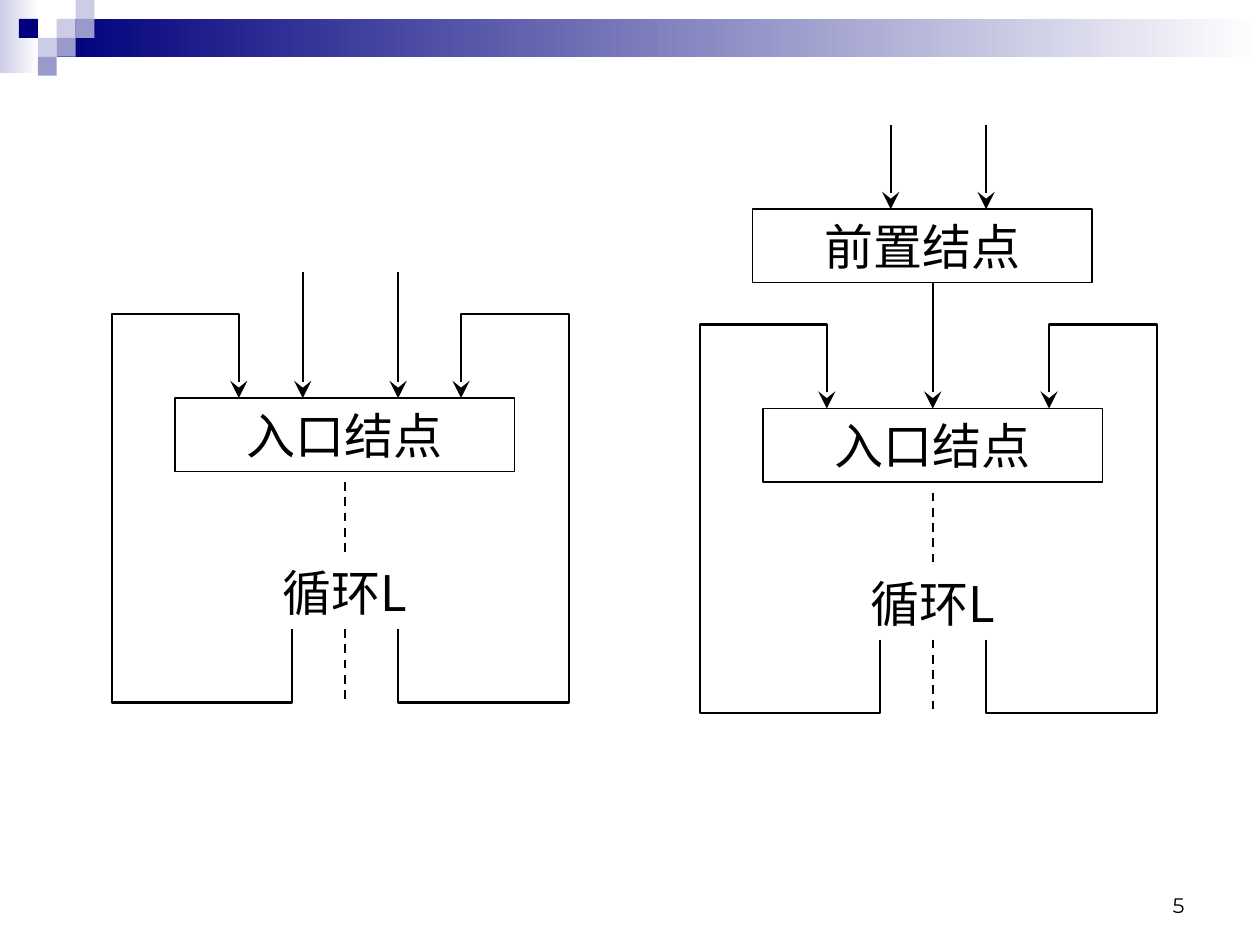
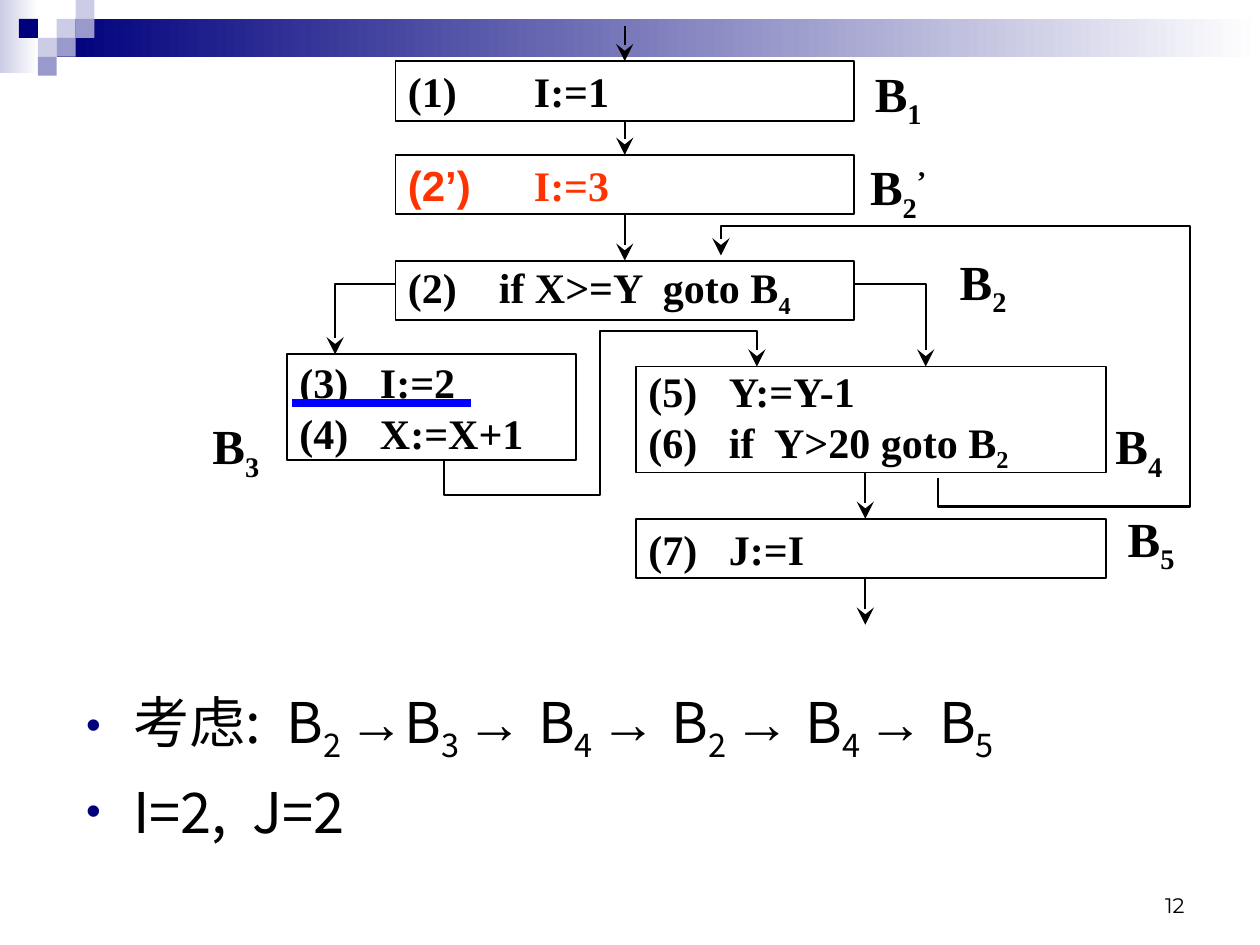
from dataclasses import dataclass
from typing import Optional, Sequence

from lxml.etree import SubElement
from pptx import Presentation
from pptx.dml.color import RGBColor
from pptx.enum.dml import MSO_LINE_DASH_STYLE as Dash
from pptx.enum.shapes import MSO_CONNECTOR as Connector, MSO_SHAPE as ShapeKind
from pptx.enum.text import MSO_ANCHOR as Anchor, MSO_AUTO_SIZE as AutoSize, PP_ALIGN as Align
from pptx.oxml.ns import qn
from pptx.util import Pt

Point = tuple[float, float]


@dataclass(frozen=True)
class Theme:
    navy: str = "00007D"
    lilac: str = "9999CC"
    mist: str = "CCCCE6"
    white: str = "FFFFFF"
    ink: str = "000000"
    changed: str = "FF3300"
    marker: str = "0000FF"
    cjk: str = "Noto Sans CJK SC"
    serif: str = "Times New Roman"
    sans: str = "Arial"
    number_font: str = "Montserrat"
    number_size: float = 12
    code_size: float = 24
    label_size: float = 28
    body_size: float = 32
    outline: float = 1
    arrow: float = 1.25
    underline: float = 4.5


THEME = Theme()


@dataclass(frozen=True)
class Run:
    text: str
    baseline: int = 0
    font: Optional[str] = None


@dataclass(frozen=True)
class Style:
    font: str
    size: float
    bold: bool = False
    color: str = THEME.ink
    align: Align = Align.LEFT
    anchor: Anchor = Anchor.MIDDLE
    wrap: bool = True
    side_inset: float = 7.2


NODE = Style(THEME.cjk, THEME.label_size, align=Align.CENTER, wrap=False)
CODE = Style(THEME.serif, THEME.code_size, bold=True)
CHANGED_CODE = Style(THEME.serif, THEME.code_size, bold=True, color=THEME.changed)
BLOCK_NAME = Style(THEME.serif, THEME.label_size, bold=True, align=Align.CENTER, wrap=False, side_inset=0)
BODY = Style(THEME.cjk, THEME.body_size)
NUMBER = Style(THEME.number_font, THEME.number_size, align=Align.RIGHT, anchor=Anchor.BOTTOM)


@dataclass(frozen=True)
class Box:
    left: float
    top: float
    width: float
    height: float

    def lengths(self) -> tuple:
        return Pt(self.left), Pt(self.top), Pt(self.width), Pt(self.height)


@dataclass(frozen=True)
class CodeBlock:
    box: Box
    tab: float
    lines: Sequence[Sequence[Run]]
    style: Style = CODE


@dataclass(frozen=True)
class BlockName:
    left: float
    top: float
    index: str
    prime: str = ""


def rgb(value: str) -> RGBColor:
    return RGBColor.from_string(value)


def write_paragraph(paragraph, runs: Sequence[Run], style: Style) -> None:
    paragraph.alignment = style.align
    font = paragraph.font
    font.name, font.size, font.bold = style.font, Pt(style.size), style.bold
    font.color.rgb = rgb(style.color)
    defaults = paragraph._p.pPr.find(qn("a:defRPr"))
    SubElement(defaults, qn("a:ea")).set("typeface", style.font)
    for item in runs:
        run = paragraph.add_run()
        run.text = item.text
        if item.font:
            run.font.name = item.font
            SubElement(run._r.get_or_add_rPr(), qn("a:ea")).set("typeface", item.font)
        if item.baseline:
            run._r.get_or_add_rPr().set("baseline", str(item.baseline * 1000))


def add_tab(paragraph, position: float) -> None:
    tabs = SubElement(paragraph._p.get_or_add_pPr(), qn("a:tabLst"))
    tab = SubElement(tabs, qn("a:tab"))
    tab.set("pos", str(Pt(position)))
    tab.set("algn", "l")


def add_bullet(paragraph, indent: float) -> None:
    properties = paragraph._p.get_or_add_pPr()
    properties.set("marL", str(Pt(indent)))
    properties.set("indent", str(-Pt(indent)))
    color = SubElement(properties, qn("a:buClr"))
    SubElement(color, qn("a:srgbClr")).set("val", THEME.navy)
    SubElement(properties, qn("a:buSzPct")).set("val", "75000")
    SubElement(properties, qn("a:buFont")).set("typeface", THEME.sans)
    SubElement(properties, qn("a:buChar")).set("char", "•")


def fill_frame(frame, lines: Sequence[Sequence[Run]], style: Style, tab: float = 0) -> None:
    frame.word_wrap = style.wrap
    frame.vertical_anchor = style.anchor
    frame.margin_left = frame.margin_right = Pt(style.side_inset)
    for index, runs in enumerate(lines):
        paragraph = frame.add_paragraph() if index else frame.paragraphs[0]
        if tab:
            add_tab(paragraph, tab)
        write_paragraph(paragraph, runs, style)


def add_text(slide, box: Box, runs: Sequence[Run], style: Style) -> None:
    fill_frame(slide.shapes.add_textbox(*box.lengths()).text_frame, [runs], style)


def add_framed_text(slide, box: Box, lines: Sequence[Sequence[Run]], style: Style, tab: float = 0) -> None:
    shape = slide.shapes.add_shape(ShapeKind.RECTANGLE, *box.lengths())
    shape.shadow.inherit = False
    shape.fill.background()
    shape.line.color.rgb = rgb(THEME.ink)
    shape.line.width = Pt(THEME.outline)
    fill_frame(shape.text_frame, lines, style, tab)


def add_route(slide, points: Sequence[Point], arrow: bool = True, dashed: bool = False,
              color: str = THEME.ink, width: float = THEME.arrow) -> None:
    corners = [(Pt(x), Pt(y)) for x, y in points]
    if len(corners) == 2:
        shape = slide.shapes.add_connector(Connector.STRAIGHT, *corners[0], *corners[1])
    else:
        builder = slide.shapes.build_freeform(*corners[0], scale=1.0)
        builder.add_line_segments(corners[1:], close=False)
        shape = builder.convert_to_shape()
        shape.fill.background()
    shape.line.color.rgb = rgb(color)
    shape.line.width = Pt(width)
    if dashed:
        shape.line.dash_style = Dash.DASH
    properties = shape.element.spPr
    if arrow:
        head = SubElement(properties.find(qn("a:ln")), qn("a:tailEnd"))
        for name, value in (("type", "stealth"), ("w", "lg"), ("len", "lg")):
            head.set(name, value)
    SubElement(properties, qn("a:effectLst"))


def add_master_band(presentation, slide) -> None:
    cell = 10.8
    bars = [
        (Box(0, 0, 22, 42), THEME.mist, THEME.white),
        (Box(32.4, cell, 687.6, 21.6), THEME.navy, THEME.white),
    ]
    squares = [
        (3, 1, THEME.mist), (4, 0, THEME.mist), (4, 1, THEME.lilac), (2, 2, THEME.mist),
        (1, 1, THEME.navy), (3, 2, THEME.lilac), (2, 3, THEME.lilac),
    ]
    bars += [(Box(cell * column, cell * row, cell, cell), color, None) for column, row, color in squares]
    tree = presentation.slide_master.shapes.element
    for index, (box, start, end) in enumerate(bars):
        shape = slide.shapes.add_shape(ShapeKind.RECTANGLE, *box.lengths())
        shape.shadow.inherit = False
        shape.line.fill.background()
        if end:
            shape.fill.gradient()
            shape.fill.gradient_angle = 0
            for stop, color, position in zip(shape.fill.gradient_stops, (start, end), (0, 1)):
                stop.color.rgb = rgb(color)
                stop.position = position
        else:
            shape.fill.solid()
            shape.fill.fore_color.rgb = rgb(start)
        tree.insert(2 + index, shape.element)


def add_slide_number(slide, number: int) -> None:
    add_text(slide, Box(516, 492, 168, 36), [Run(str(number))], NUMBER)


def add_loop(slide, left: float, top: float) -> None:
    def place(*points: Point) -> list[Point]:
        return [(left + x, top + y) for x, y in points]

    add_framed_text(slide, Box(left, top, 194, 42), [[Run("入口结点")]], NODE)
    add_text(slide, Box(left, top + 90, 194, 42), [Run("循环L")], NODE)
    for exit_x, side_x, entry_x in ((67, -36, 36.5), (127.5, 225, 163.5)):
        add_route(slide, place((exit_x, 132), (exit_x, 174), (side_x, 174),
                               (side_x, -48), (entry_x, -48), (entry_x, 0)))
    for start in (48, 132):
        add_route(slide, place((97, start), (97, start + 42)), arrow=False, dashed=True)


def add_entries(slide, left: float, bottom: float, length: float) -> None:
    for x in (left + 73, left + 127.5):
        add_route(slide, [(x, bottom - length), (x, bottom)])


def build_preheader_slide(slide) -> None:
    before, after = (100, 227.5), (436, 233.5)
    add_loop(slide, *before)
    add_entries(slide, *before, 72)
    add_loop(slide, *after)
    add_framed_text(slide, Box(430, 119.5, 194, 42), [[Run("前置结点")]], NODE)
    add_entries(slide, after[0], 119.5, 48)
    add_route(slide, [(533, 161.5), (533, 233.5)])
    add_slide_number(slide, 5)


def build_flow_graph_slide(slide) -> None:
    blocks = [
        CodeBlock(Box(226, 35, 262, 34), 72, [[Run("(1)\tI:=1")]]),
        CodeBlock(Box(226, 88.5, 262, 34), 72, [[Run("(2’)\t", font=THEME.sans), Run("I:=3")]], CHANGED_CODE),
        CodeBlock(Box(226, 149, 262, 34), 52, [[Run("(2)\tif X>=Y  goto B"), Run("4", -25)]]),
        CodeBlock(Box(164, 202.5, 165, 60.5), 46, [[Run("(3)\tI:=2")], [Run("(4)\tX:=X+1")]]),
        CodeBlock(Box(363.5, 209.5, 268.5, 60.5), 46,
                  [[Run("(5)\tY:=Y-1")], [Run("(6)\tif  Y>20 goto B"), Run("2", -25)]]),
        CodeBlock(Box(363.5, 296.5, 268.5, 34), 46, [[Run("(7)\tJ:=I")]]),
    ]
    for block in blocks:
        add_framed_text(slide, block.box, block.lines, block.style, block.tab)

    names = [
        BlockName(494.5, 35, "1"), BlockName(494.5, 88.5, "2", "’"), BlockName(543, 142.5, "2"),
        BlockName(116, 236.5, "3"), BlockName(632, 236.5, "4"), BlockName(639, 289.5, "5"),
    ]
    for name in names:
        runs = [Run("B"), Run(name.index, -25)]
        if name.prime:
            runs.append(Run(name.prime, 30))
        add_text(slide, Box(name.left, name.top, 37.5, 40.5), runs, BLOCK_NAME)

    drops = [(357, 15, 35), (357, 69, 88.5), (357, 122.5, 149), (494.5, 270, 296.5), (494.5, 330.5, 357)]
    for x, start, end in drops:
        add_route(slide, [(x, start), (x, end)])
    branches = [
        [(226, 162.5), (191.5, 162.5), (191.5, 202.5)],
        [(487.5, 162.5), (529, 162.5), (529, 209.5)],
        [(536, 273), (536, 289.5), (680, 289.5), (680, 129), (412, 129), (412, 146)],
        [(253.5, 263), (253.5, 283), (343, 283), (343, 189), (432.5, 189), (432.5, 209.5)],
    ]
    for branch in branches:
        add_route(slide, branch)

    trace = [Run("考虑:  B"), Run("2 ", -25), Run("→", font=THEME.sans)]
    for index in "3424":
        trace += [Run("B"), Run(f"{index} ", -25), Run("→ ", font=THEME.sans)]
    trace += [Run("B"), Run("5", -25)]
    body = slide.placeholders[1]
    body.left, body.top, body.width, body.height = Box(42, 389, 666, 121).lengths()
    frame = body.text_frame
    frame.auto_size = AutoSize.NONE
    for index, runs in enumerate((trace, [Run("I=2,  J=2")])):
        paragraph = frame.add_paragraph() if index else frame.paragraphs[0]
        add_bullet(paragraph, 27)
        paragraph.space_before = Pt(8 if index else 0)
        write_paragraph(paragraph, runs, BODY)

    add_route(slide, [(167, 230.5), (269, 230.5)], arrow=False, color=THEME.marker, width=THEME.underline)
    add_slide_number(slide, 12)


def main() -> None:
    presentation = Presentation()
    presentation.slide_width, presentation.slide_height = Pt(720), Pt(540)
    layouts = presentation.slide_layouts
    preheader_slide = presentation.slides.add_slide(layouts.get_by_name("Blank"))
    add_master_band(presentation, preheader_slide)
    build_preheader_slide(preheader_slide)

    flow_slide = presentation.slides.add_slide(layouts.get_by_name("Title and Content"))
    title = flow_slide.shapes.title.element
    title.getparent().remove(title)
    build_flow_graph_slide(flow_slide)
    presentation.save("out.pptx")


if __name__ == "__main__":
    main()
